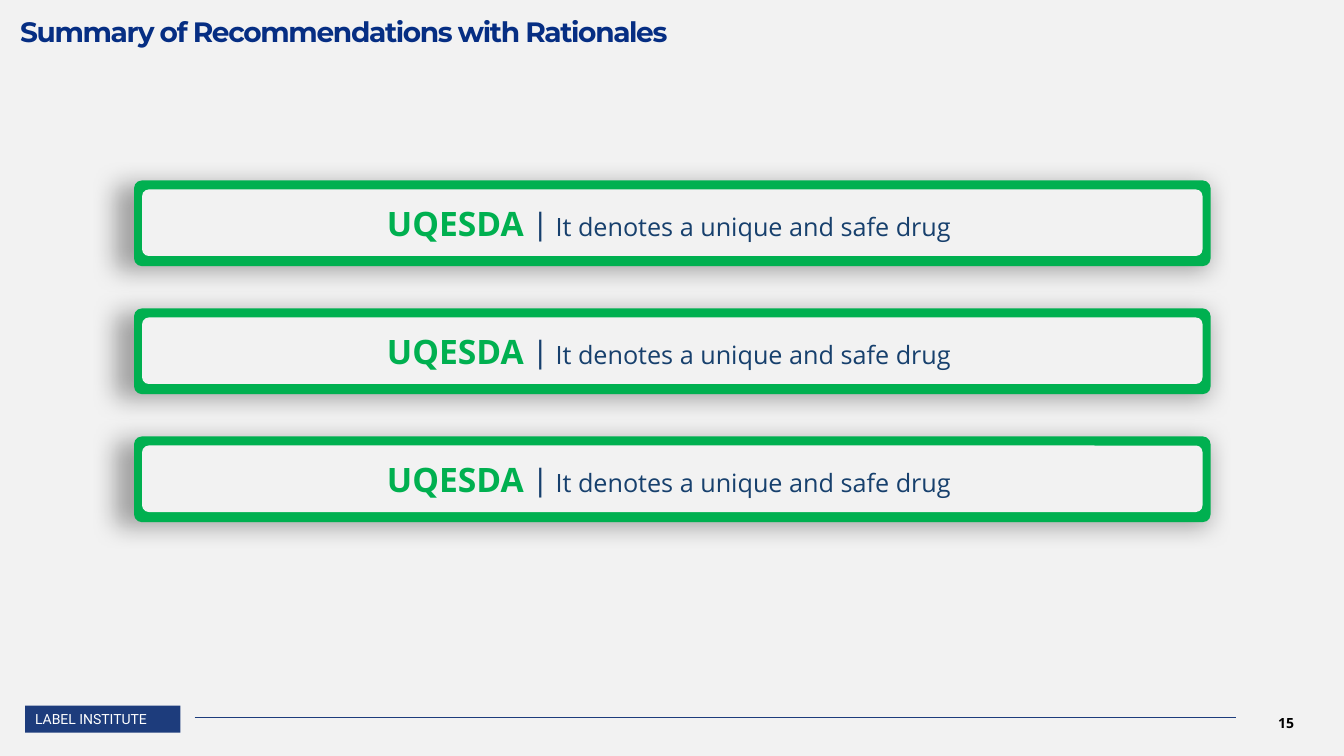
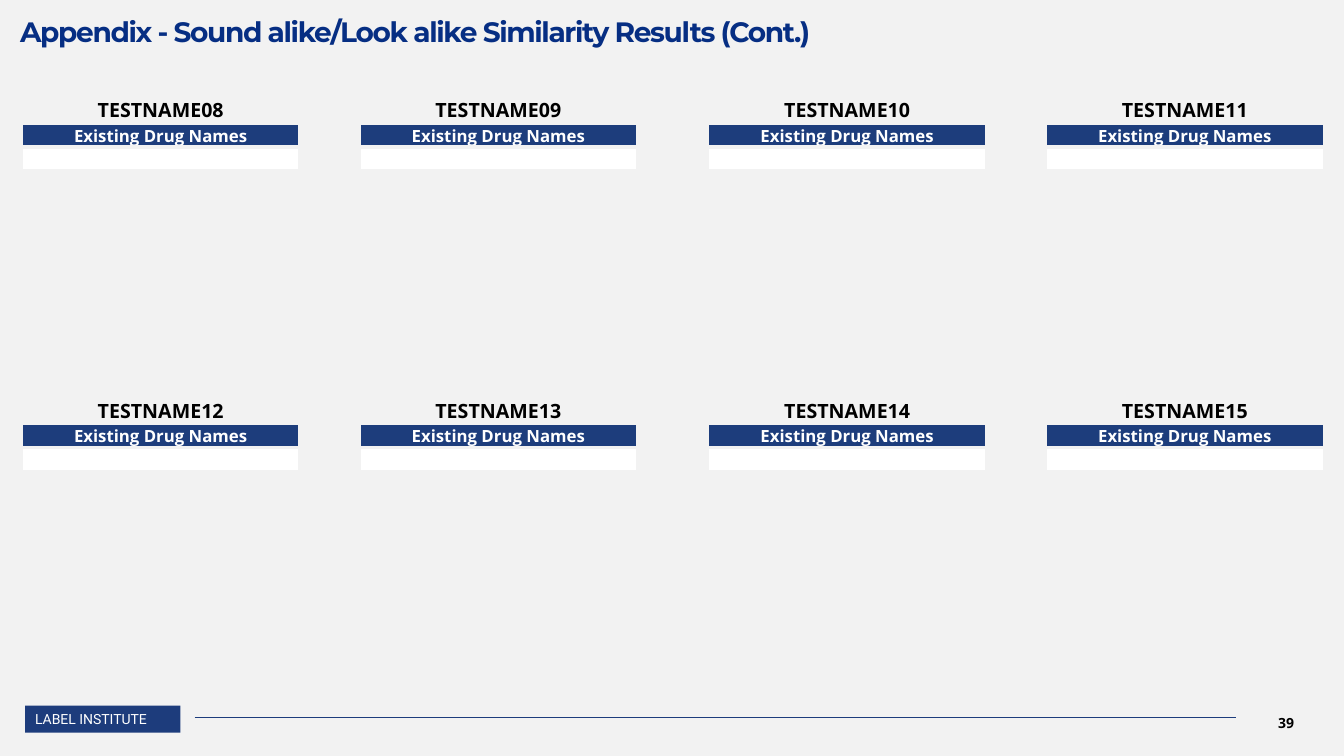
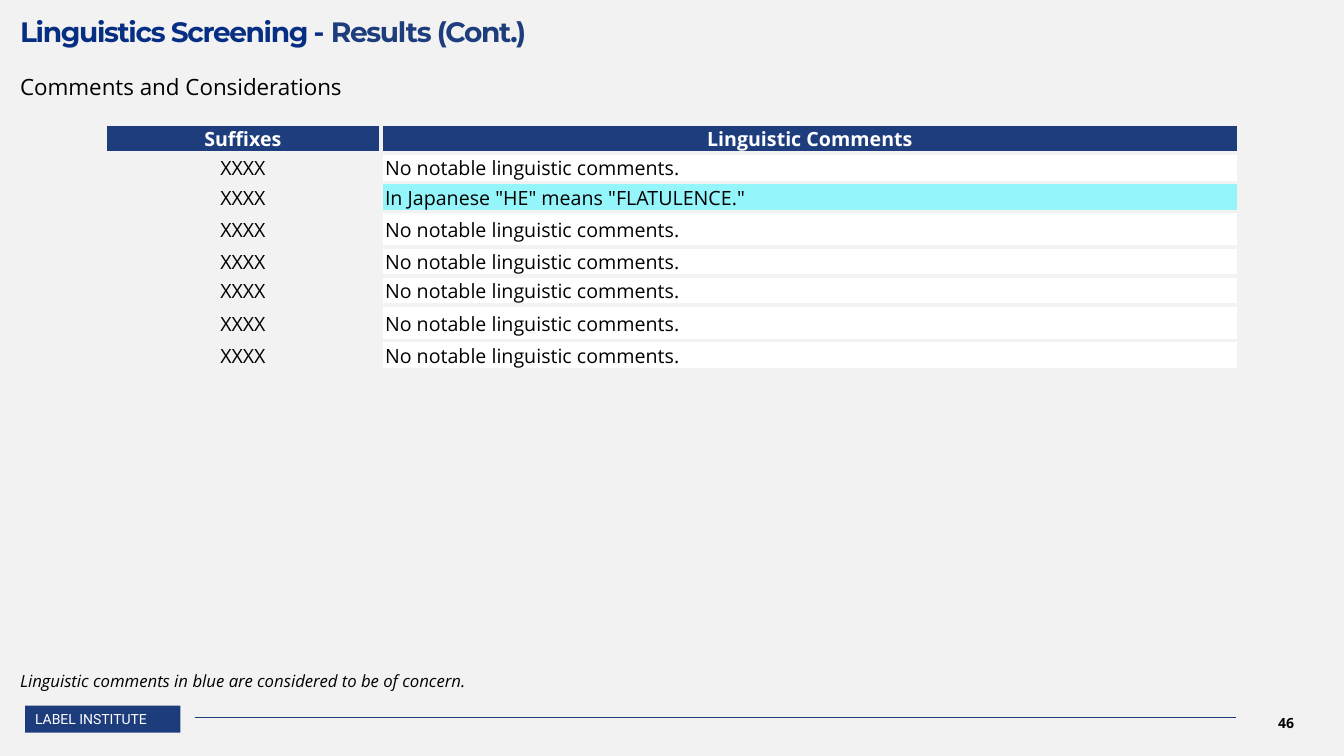
from lxml import etree
from pptx import Presentation
from pptx.dml.color import RGBColor
from pptx.enum import shapes, text
from pptx.oxml import parse_xml
from pptx.oxml.ns import nsdecls, qn
from pptx.util import Emu, Inches, Pt

NAVY = RGBColor(0x1D, 0x3C, 0x7C)
HEADER = RGBColor(0x1D, 0x3D, 0x7C)
TITLE = RGBColor(0x06, 0x2E, 0x83)
SLATE = RGBColor(0x17, 0x40, 0x6D)
GREEN = RGBColor(0x00, 0xB0, 0x50)
CYAN = RGBColor(0x94, 0xF5, 0xFA)
PALE = RGBColor(0xF2, 0xF2, 0xF2)
WHITE = RGBColor(0xFF, 0xFF, 0xFF)
BLACK = RGBColor(0x00, 0x00, 0x00)

BODY_FONT = "Open Sans"
LEFT, WIDTH = 0.2, 12.82
NO_STYLE = "{2D5ABB26-0587-4C30-8999-92F81FD0307C}"
CELL_INSETS = (0.01, 0.01, 0.01, 0)
CENTER, START = text.PP_ALIGN.CENTER, text.PP_ALIGN.LEFT
TOP, MIDDLE = text.MSO_ANCHOR.TOP, text.MSO_ANCHOR.MIDDLE


def add_run(p, words, size=14, color=BLACK, font=BODY_FONT, bold=False,
            italic=False, spacing=None):
    r = p.add_run()
    r.text = words
    f = r.font
    f.size, f.name, f.bold, f.italic = Pt(size), font, bold, italic
    f.color.rgb = color
    if spacing is not None:
        r._r.get_or_add_rPr().set("spc", str(int(spacing * 100)))


def set_insets(target, insets):
    (target.margin_left, target.margin_top,
     target.margin_right, target.margin_bottom) = map(Inches, insets)


def write(tf, words, align=START, anchor=TOP, insets=(0.1, 0.05, 0.1, 0.05),
          line_spacing=None, **style):
    """Write a string, or (string, style changes) pairs, as one paragraph."""
    tf.word_wrap = True
    tf.vertical_anchor = anchor
    set_insets(tf, insets)
    p = tf.paragraphs[0]
    p.alignment = align
    if line_spacing:
        p.line_spacing = line_spacing
    runs = [(words, {})] if isinstance(words, str) else words
    for part, changes in runs:
        add_run(p, part, **{**style, **changes})


def add_text(slide, box, words, **style):
    sp = slide.shapes.add_textbox(*map(Inches, box))
    write(sp.text_frame, words, **style)


def add_box(slide, kind, box, fill, radius=None):
    sp = slide.shapes.add_shape(kind, *map(Inches, box))
    sp.shadow.inherit = False
    sp.fill.solid()
    sp.fill.fore_color.rgb = fill
    sp.line.fill.background()
    if radius is not None:
        sp.adjustments[0] = radius
    return sp


def cast_shadow(sp):
    """Give the shape a soft shadow that reaches out on its left."""
    effects = sp._element.spPr.find(qn("a:effectLst"))
    effects.append(parse_xml(
        f'<a:outerShdw {nsdecls("a")} blurRad="{Pt(17.2)}" dist="{Pt(3)}" '
        'dir="8100000" sx="101500" algn="r" rotWithShape="0">'
        '<a:srgbClr val="000000"><a:alpha val="33000"/></a:srgbClr>'
        '</a:outerShdw>'))


def border_cell(cell):
    tc_pr = cell._tc.get_or_add_tcPr()
    for i, side in enumerate(("lnL", "lnR", "lnT", "lnB")):
        tc_pr.insert(i, parse_xml(
            f'<a:{side} {nsdecls("a")} w="{Pt(3)}"><a:solidFill>'
            f'<a:srgbClr val="{PALE}"/></a:solidFill></a:{side}>'))


def fill_cell(cell, words, fill=None, align=CENTER, insets=CELL_INSETS,
              **style):
    set_insets(cell, insets)
    cell.vertical_anchor = MIDDLE
    if fill is None:
        cell.fill.background()
    else:
        cell.fill.solid()
        cell.fill.fore_color.rgb = fill
    border_cell(cell)
    p = cell.text_frame.paragraphs[0]
    p.alignment = align
    if words:
        add_run(p, words, **style)
    else:
        end = etree.SubElement(p._p, qn("a:endParaRPr"))
        end.set("sz", "1200")


def add_table(slide, left, top, cols, rows):
    frame = slide.shapes.add_table(
        len(rows), len(cols), Inches(left), Inches(top),
        Inches(sum(cols)), Inches(sum(rows)))
    table = frame.table
    table.first_row = table.horz_banding = False
    table._tbl.tblPr.find(qn("a:tableStyleId")).text = NO_STYLE
    for col, width in zip(table.columns, cols):
        col.width = Inches(width)
    for row, height in zip(table.rows, rows):
        row.height = Inches(height)
    return table


def add_slide(prs, title, number):
    """Add a slide with the shared background, title and footer."""
    slide = prs.slides.add_slide(prs.slide_layouts[6])
    slide.background.fill.solid()
    slide.background.fill.fore_color.rgb = PALE
    add_text(slide, (12.21, 6.97, 1.1, 0.4), str(number), align=CENTER,
             anchor=MIDDLE, size=10, bold=True)
    badge = add_box(slide, shapes.MSO_SHAPE.RECTANGLE,
                    (0.25, 7, 1.54, 0.27), NAVY)
    write(badge.text_frame, "LABEL INSTITUTE", anchor=MIDDLE, size=10,
          font="Roboto", color=WHITE)
    rule = slide.shapes.add_connector(
        shapes.MSO_CONNECTOR.STRAIGHT,
        *map(Inches, (1.93, 7.12, 12.26, 7.12)))
    rule.line.color.rgb = NAVY
    rule.line.width = Pt(0.5)
    etree.SubElement(rule._element.spPr, qn("a:effectLst"))
    add_text(slide, (LEFT, 0, WIDTH, 0.48), title, insets=(0, 0.21, 0, 0),
             line_spacing=0.8, size=20, font="Montserrat", color=TITLE,
             bold=True, spacing=-1)
    return slide


def add_recommendation(slide, top):
    rounded = shapes.MSO_SHAPE.ROUNDED_RECTANGLE
    frame = add_box(slide, rounded, (1.33, top, 10.68, 0.85), GREEN, 0.09)
    cast_shadow(frame)
    panel = add_box(slide, rounded, (1.41, top + 0.09, 10.52, 0.66), PALE, 0.1)
    write(panel.text_frame, [
        ("UQESDA ", {"color": GREEN, "bold": True}),
        ("| ", {"font": "Calibri"}),
        ("It denotes a unique and safe drug ", {"size": 18}),
    ], align=CENTER, anchor=MIDDLE, size=24, color=SLATE)


def add_name_table(slide, left, top, name):
    table = add_table(slide, left, top, [2.77], [0.27, 0.24, 0.24])
    fill_cell(table.cell(0, 0), name, bold=True)
    fill_cell(table.cell(1, 0), "Existing Drug Names", HEADER, size=12,
              color=WHITE, bold=True)
    fill_cell(table.cell(2, 0), "", WHITE)


def build_recommendations(prs):
    slide = add_slide(prs, "Summary of Recommendations with Rationales", 15)
    for i in range(3):
        add_recommendation(slide, 1.79 + 1.27 * i)


def build_similarity(prs):
    slide = add_slide(
        prs, "Appendix - Sound alike/Look alike Similarity Results (Cont.)", 39)
    for i in range(8):
        row, col = divmod(i, 4)
        pair, member = divmod(col, 2)
        add_name_table(slide, 0.21 + 6.81 * pair + 3.35 * member,
                       0.95 + 2.98 * row, f"TESTNAME{8 + i:02d}")


def build_linguistics(prs):
    slide = add_slide(prs, [("Linguistics Screening - ", {}),
                            ("Results (Cont.)", {"color": HEADER})], 46)
    clear = "No notable linguistic comments."
    concern = 'In Japanese "HE" means "FLATULENCE."'
    comments = [clear, concern] + [clear] * 5
    heights = [0.29, 0.29, 0.29, 0.35, 0.29, 0.29, 0.35, 0.29]
    table = add_table(slide, 1.04, 1.23, [2.74, 8.51], heights)
    for col, heading in enumerate(("Suffixes", "Linguistic Comments")):
        fill_cell(table.cell(0, col), heading, HEADER, color=WHITE, bold=True)
    for row, comment in enumerate(comments, 1):
        fill_cell(table.cell(row, 0), "XXXX", PALE)
        fill_cell(table.cell(row, 1), comment,
                  CYAN if comment == concern else WHITE,
                  align=START, insets=(0.04, 0.01, 0.01, 0))
    add_text(slide, (LEFT, 0.66, WIDTH, 0.27), "Comments and Considerations",
             insets=(0, 0, 0, 0), line_spacing=1.25, size=16)
    add_text(slide, (LEFT, 6.61, 5.4, 0.27),
             "Linguistic comments in blue are considered to be of concern.",
             insets=(0, 0.05, 0.1, 0.05), size=12, italic=True)


def main():
    prs = Presentation()
    prs.slide_width, prs.slide_height = Emu(12192000), Inches(7.5)
    build_recommendations(prs)
    build_similarity(prs)
    build_linguistics(prs)
    prs.save("out.pptx")


if __name__ == "__main__":
    main()
